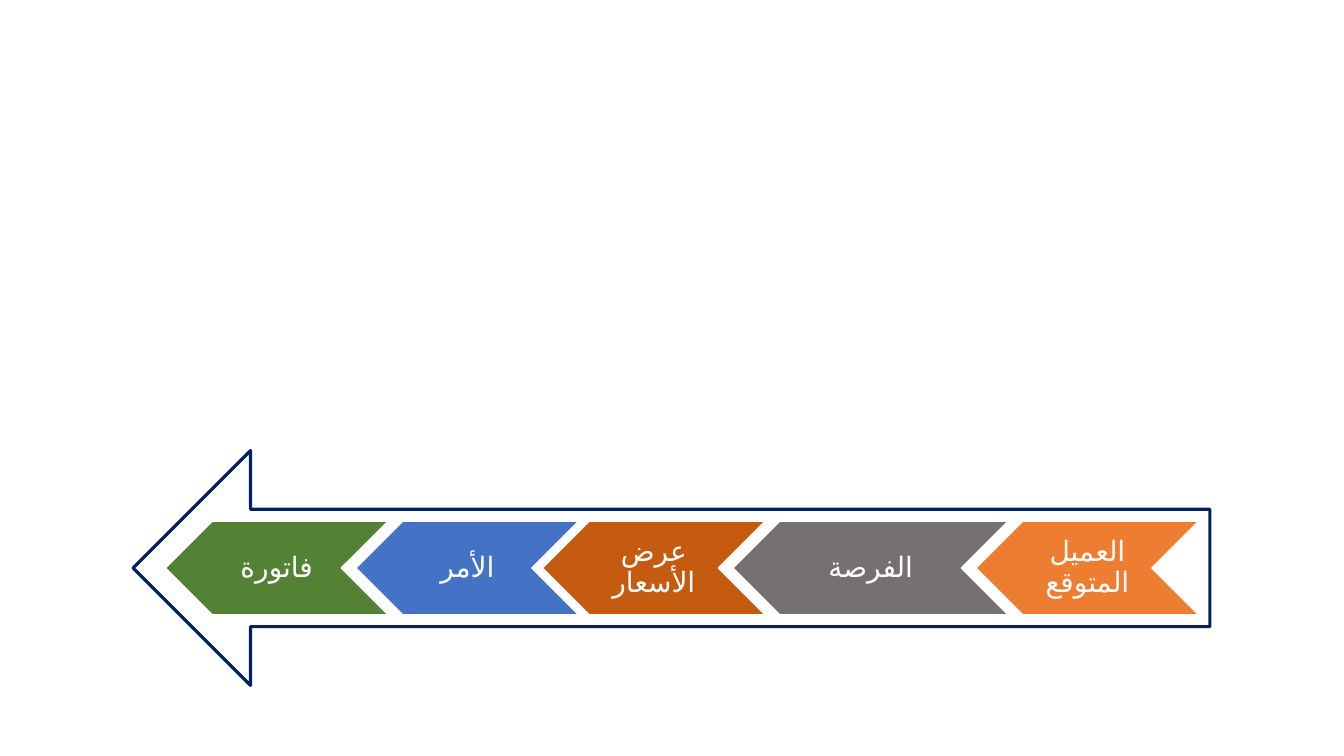
from pptx import Presentation
from pptx.dml.color import RGBColor
from pptx.enum.shapes import MSO_SHAPE
from pptx.enum.text import MSO_ANCHOR, PP_ALIGN
from pptx.util import Inches, Pt

LEFT_ARROW = MSO_SHAPE.LEFT_ARROW
CHEVRON = MSO_SHAPE.CHEVRON
MIDDLE = MSO_ANCHOR.MIDDLE
CENTER = PP_ALIGN.CENTER

STAGES = [
    ("العميل المتوقع", 9.68, 2.21, "lead"),
    ("الفرصة", 7.27, 2.73, "opportunity"),
    ("عرض الأسعار", 5.38, 2.21, "quote"),
    ("الأمر", 3.53, 2.21, "order"),
    ("فاتورة", 1.64, 2.21, "invoice"),
]
STAGE_TOP, STAGE_HEIGHT = 5.17, 0.93
PROCESS_BOX = (1.32, 4.47, 10.68, 2.33)

THEME = {
    "white": "FFFFFF",
    "navy": "002060",
    "lead": "ED7D31",
    "opportunity": "767171",
    "quote": "C55A11",
    "order": "4472C4",
    "invoice": "548235",
    "font": "Calibri",
    "size": Pt(20),
    "arrow_line": Pt(2.25),
    "stage_line": Pt(1),
}
FRAME_FORMAT = {
    "word_wrap": True,
    "vertical_anchor": MIDDLE,
    "margin_left": Inches(0.08),
    "margin_right": Inches(0.08),
    "margin_top": Inches(0.08),
    "margin_bottom": Inches(0.08),
}
PARAGRAPH_FORMAT = {"alignment": CENTER, "line_spacing": 0.9}
FONT_FORMAT = {"name": THEME["font"], "size": THEME["size"]}


def color(role):
    return RGBColor.from_string(THEME[role])


def apply(target, settings):
    for attribute, value in settings.items():
        setattr(target, attribute, value)


def add_block(group, preset, box, fill, line, width):
    block = group.shapes.add_shape(preset, *map(Inches, box))
    block.shadow.inherit = False
    block.fill.solid()
    block.fill.fore_color.rgb = color(fill)
    block.line.color.rgb = color(line)
    block.line.width = width
    return block


def add_stage(group, label, left, width, fill):
    box = (left, STAGE_TOP, width, STAGE_HEIGHT)
    stage = add_block(group, CHEVRON, box, fill, "white", THEME["stage_line"])
    stage._element.spPr.get_or_add_xfrm().set("flipH", "1")
    apply(stage.text_frame, FRAME_FORMAT)
    paragraph = stage.text_frame.paragraphs[0]
    apply(paragraph, PARAGRAPH_FORMAT)
    paragraph._p.get_or_add_pPr().set("rtl", "1")
    run = paragraph.add_run()
    run.text = label
    apply(run.font, FONT_FORMAT)
    run.font.color.rgb = color("white")
    run._r.get_or_add_rPr().set("lang", "ar-SA")


def main():
    presentation = Presentation()
    presentation.slide_width = Inches(13.33)
    presentation.slide_height = Inches(7.5)
    slide = presentation.slides.add_slide(presentation.slide_layouts[6])
    process = slide.shapes.add_group_shape()
    add_block(process, LEFT_ARROW, PROCESS_BOX, "white", "navy", THEME["arrow_line"])
    for stage in STAGES:
        add_stage(process, *stage)
    presentation.save("out.pptx")


if __name__ == "__main__":
    main()
